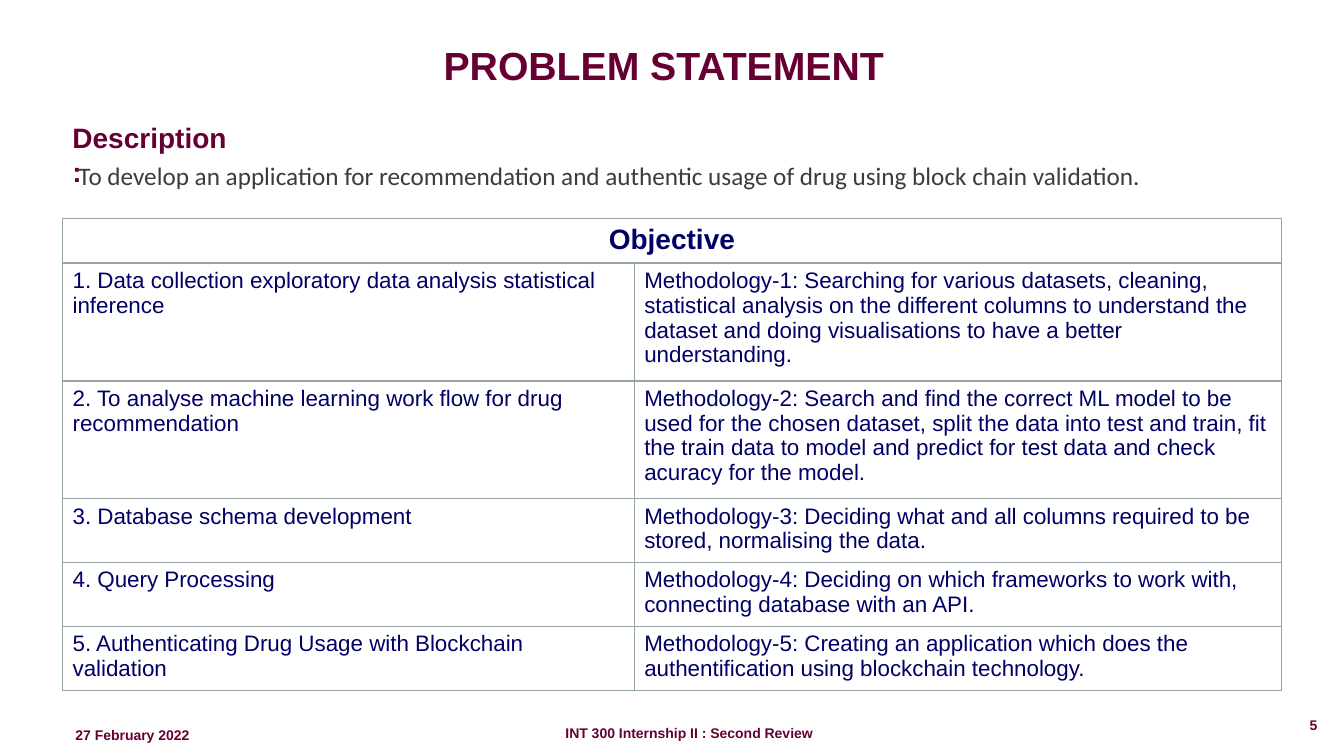
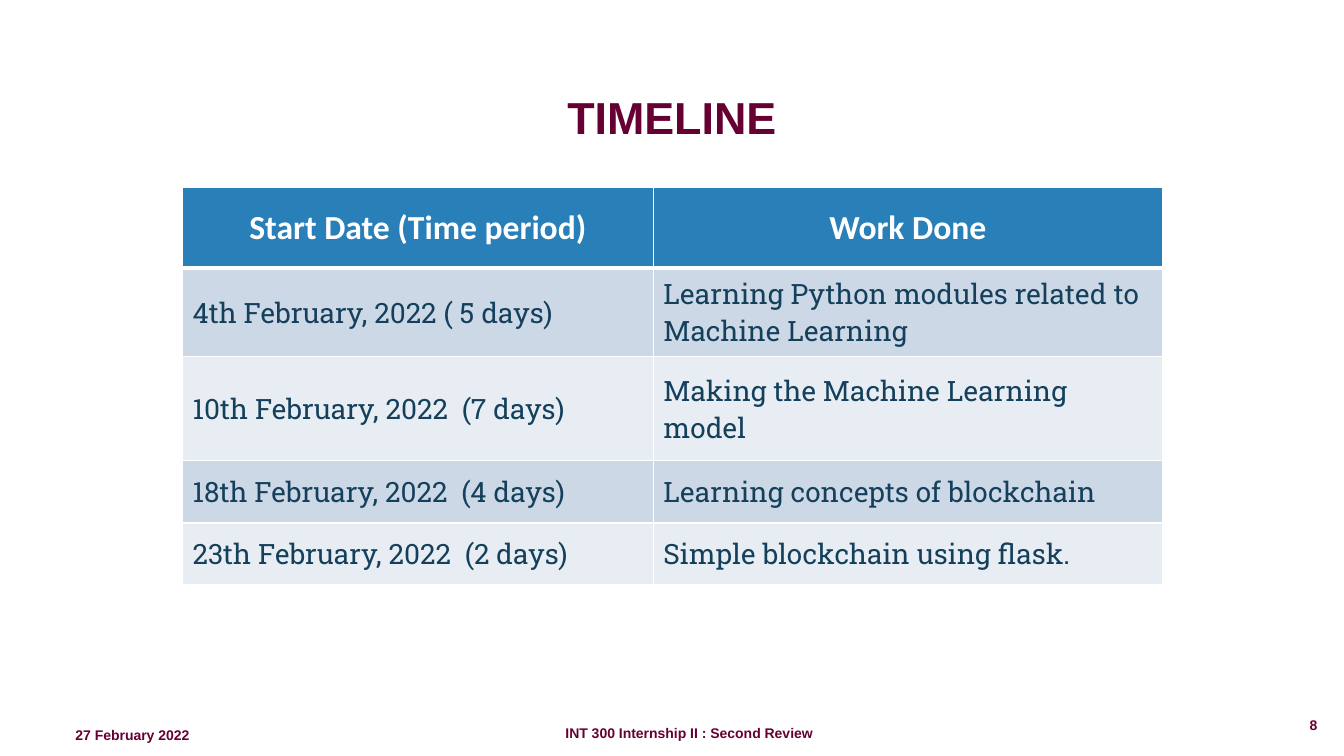
from lxml import etree
from pptx import Presentation
from pptx import util as u
from pptx.dml.color import RGBColor
from pptx.enum import text
from pptx.oxml.ns import qn

PX = 9144  # EMU per px, 100 px to the inch
LEFT, CENTER = text.PP_ALIGN.LEFT, text.PP_ALIGN.CENTER
TOP, MIDDLE = text.MSO_ANCHOR.TOP, text.MSO_ANCHOR.MIDDLE
TITLE_ONLY = 5

MAROON, NAVY, WHITE = "660033", "000066", "FFFFFF"
GREY_TEXT, GREY_LINE = "3C3C3C", "95A5A6"
BLUE, INK, BANDS = "2980B9", "14405C", ("CDD8E6", "E8EDF3")


def color(value):
    return RGBColor.from_string(value)


def px(*lengths):
    return [u.Emu(length * PX) for length in lengths]


class Deck:
    """Holds the shared style and the slide being built."""

    def __init__(self):
        self.presentation = Presentation()
        self.presentation.slide_width, self.presentation.slide_height = px(1333, 750)
        self.slide = None

    def set_text(self, frame, wording, size, ink, font="Arial", bold=False, align=LEFT):
        frame.word_wrap = True
        frame.text = wording
        paragraph = frame.paragraphs[0]
        paragraph.alignment = align
        paragraph.font.name = font
        paragraph.font.size = u.Pt(size)
        paragraph.font.bold = bold
        paragraph.font.color.rgb = color(ink)

    def add_slide(self, title, box, size, number, align=CENTER):
        layout = self.presentation.slide_layouts[TITLE_ONLY]
        self.slide = self.presentation.slides.add_slide(layout)
        shape = self.slide.shapes.title
        shape.left, shape.top, shape.width, shape.height = px(*box)
        frame = shape.text_frame
        frame.auto_size = text.MSO_AUTO_SIZE.NONE
        frame.vertical_anchor = TOP
        self.set_text(frame, title, size, MAROON, bold=True, align=align)
        self.footer(number)

    def footer(self, number):
        for wording, box in (
            ("27 February 2022", (65, 716, 156, 24)),
            ("INT 300 Internship II : Second Review", (551, 714, 300, 27)),
            (str(number), (1289, 706, 48, 43)),
        ):
            self.text_box(wording, box, 10, MAROON, bold=True)

    def text_box(self, wording, box, size, ink, **style):
        shape = self.slide.shapes.add_textbox(*px(*box))
        self.set_text(shape.text_frame, wording, size, ink, **style)

    def table(self, left, top, columns, heights, rows):
        shape = self.slide.shapes.add_table(
            len(rows), len(columns), *px(left, top, sum(columns), sum(heights)))
        table = shape.table
        table.first_row = table.horz_banding = False
        for column, width in zip(table.columns, px(*columns)):
            column.width = width
        for row, height in zip(table.rows, px(*heights)):
            row.height = height
        return table

    def cell(self, cell, wording, size, ink, line, fill=None, anchor=TOP,
             top_line=1, bottom_line=1, **style):
        for side, width in (("L", 1), ("R", 1), ("T", top_line), ("B", bottom_line)):
            self.border(cell, side, line, width)
        if fill:
            cell.fill.solid()
            cell.fill.fore_color.rgb = color(fill)
        else:
            cell.fill.background()
        cell.vertical_anchor = anchor
        self.set_text(cell.text_frame, wording, size, ink, **style)

    def border(self, cell, side, line, width):
        properties = cell._tc.get_or_add_tcPr()
        edge = etree.SubElement(properties, qn("a:ln" + side), w=str(u.Pt(width)))
        fill = etree.SubElement(edge, qn("a:solidFill"))
        etree.SubElement(fill, qn("a:srgbClr"), val=line)


def problem_statement(deck):
    deck.add_slide("PROBLEM STATEMENT", (430, 36, 472, 57), 28, 5, align=LEFT)

    # Description
    deck.text_box("Description:", (62, 115, 180, 44), 20, MAROON, bold=True)
    deck.text_box(
        "To develop an application for recommendation and authentic usage of drug "
        "using block chain validation.",
        (68, 154, 1135, 40), 18, GREY_TEXT, font="Calibri")

    # Objectives and methodologies
    rows = [
        ("Objective", ""),
        ("1. Data collection exploratory data analysis statistical inference",
         "Methodology-1: Searching for various datasets, cleaning, statistical "
         "analysis on the different columns to understand the dataset and doing "
         "visualisations to have a better understanding."),
        ("2. To analyse machine learning work flow for drug recommendation",
         "Methodology-2: Search and find the correct ML model to be used for the "
         "chosen dataset, split the data into test and train, fit the train data "
         "to model and predict for test data and check acuracy for the model."),
        ("3. Database schema development",
         "Methodology-3: Deciding what and all columns required to be stored, "
         "normalising the data."),
        ("4. Query Processing",
         "Methodology-4: Deciding on which frameworks to work with, connecting "
         "database with an API."),
        ("5. Authenticating Drug Usage with Blockchain validation",
         "Methodology-5: Creating an application which does the authentification "
         "using blockchain technology."),
    ]
    table = deck.table(62, 217, (567, 642), (44, 117, 117, 63, 63, 63), rows)
    for i, row in enumerate(rows):
        style = {"size": 16} if i else {"size": 20, "bold": True, "align": CENTER}
        for j, wording in enumerate(row):
            deck.cell(table.cell(i, j), wording, ink=NAVY, line=GREY_LINE, **style)
    table.cell(0, 0).merge(table.cell(0, 1))


def timeline(deck):
    deck.add_slide("TIMELINE", (505, 84, 323, 64), 32, 8)

    # Dates and work done
    rows = [
        ("Start Date (Time period)", "Work Done"),
        ("4th February, 2022 ( 5 days)",
         "Learning Python modules related to Machine Learning"),
        ("10th February, 2022  (7 days)", "Making the Machine Learning model"),
        ("18th February, 2022  (4 days)", "Learning concepts of blockchain"),
        ("23th February, 2022  (2 days)", "Simple blockchain using flask."),
    ]
    header = {"size": 24, "ink": WHITE, "font": "Calibri", "bold": True,
              "align": CENTER, "fill": BLUE, "bottom_line": 3}
    body = {"size": 20, "ink": INK, "font": "Roboto Slab"}
    table = deck.table(181, 186, (467, 505), (80, 88, 103, 62, 61), rows)
    for i, row in enumerate(rows):
        style = header if i == 0 else {
            **body, "fill": BANDS[(i - 1) % 2], "top_line": 3 if i == 1 else 1}
        for j, wording in enumerate(row):
            deck.cell(table.cell(i, j), wording, line=WHITE, anchor=MIDDLE, **style)


def main():
    deck = Deck()
    problem_statement(deck)
    timeline(deck)
    deck.presentation.save("out.pptx")


if __name__ == "__main__":
    main()
